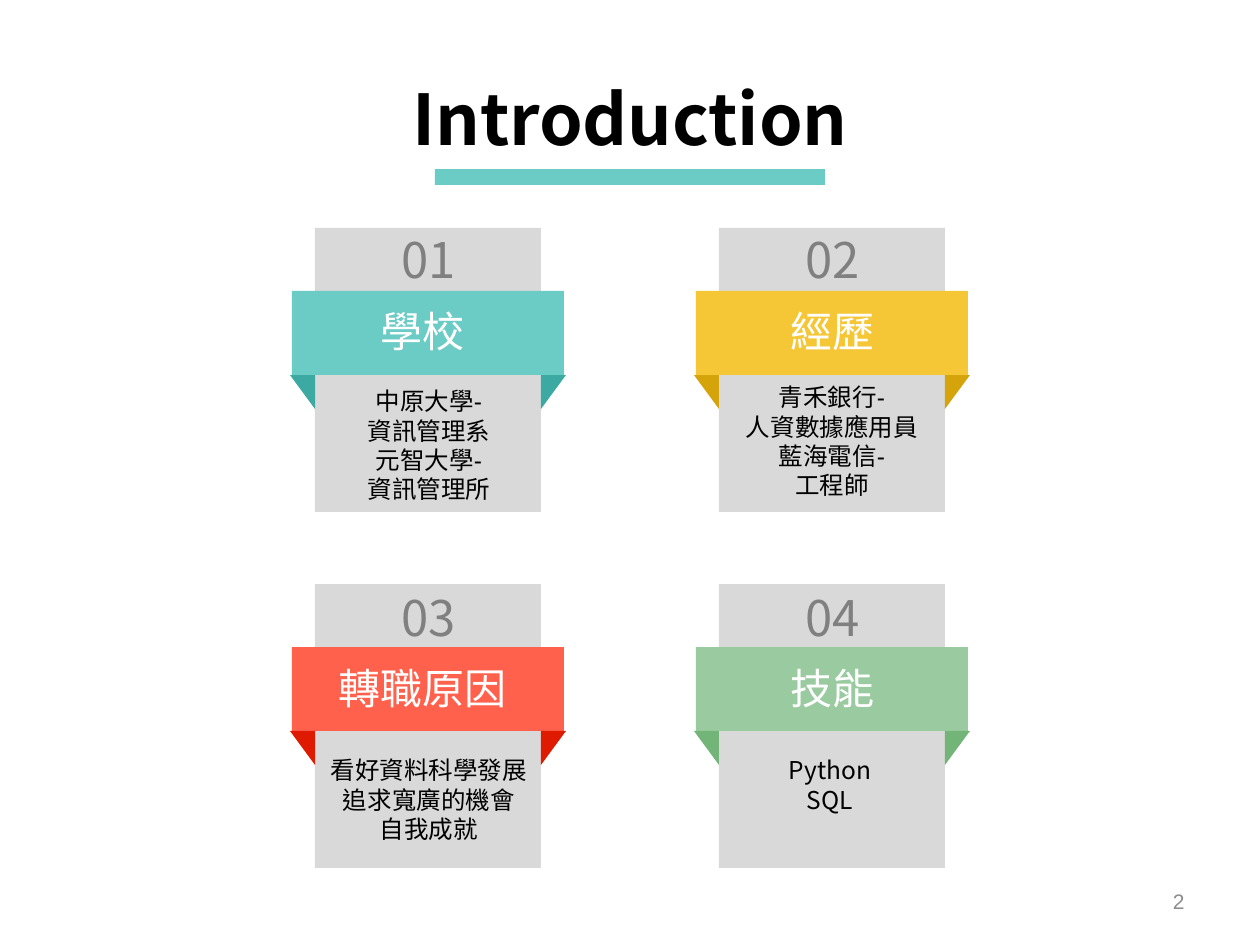
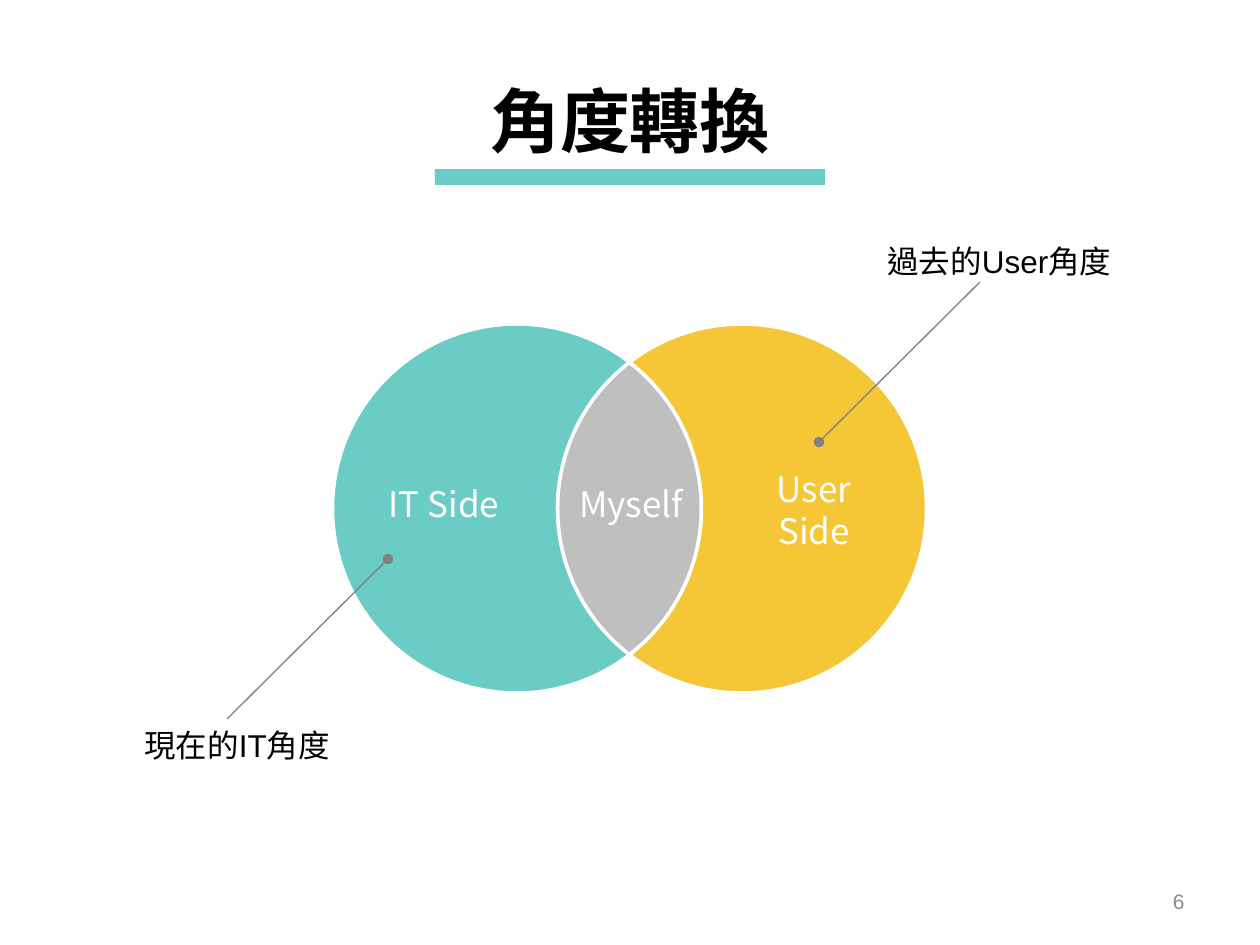
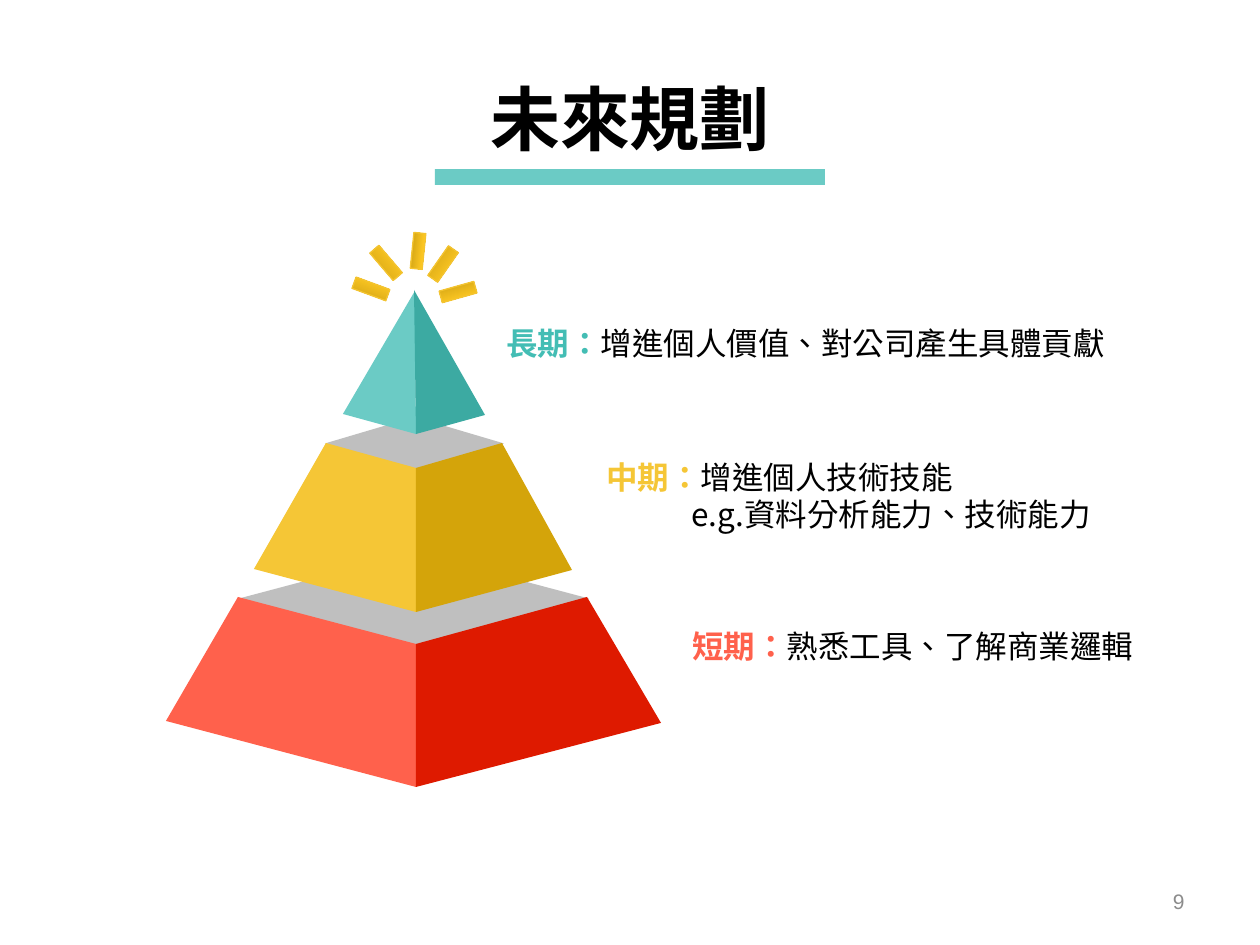
import math
from lxml import etree
from pptx import Presentation, util as u
from pptx.dml.color import RGBColor
from pptx.enum import lang, shapes, text
from pptx.oxml.ns import qn

SCALE = u.Inches(1) / 126
NOTO, ARIAL = "Noto Sans CJK SC", "Arial"
KIND = shapes.MSO_SHAPE
LEFT, CENTER, RIGHT = text.PP_ALIGN.LEFT, text.PP_ALIGN.CENTER, text.PP_ALIGN.RIGHT
TOP, MIDDLE = text.MSO_ANCHOR.TOP, text.MSO_ANCHOR.MIDDLE
C = {
    "black": "000000", "white": "FFFFFF", "card": "D9D9D9", "silver": "BFBFBF",
    "grey": "808080", "page": "8C8C8C", "teal": "6BCBC5", "teal_dark": "3CAAA2",
    "teal_text": "43BDB4", "yellow": "F5C636", "yellow_dark": "D4A40A",
    "red": "FF614C", "red_dark": "DE1A00", "green": "9ACA9F", "green_dark": "73B579",
    "ray_dark": "CC9F13", "ray_light": "FFC923", "ray_line": "F4C430",
}
RGB = {name: RGBColor.from_string(value) for name, value in C.items()}


def add_form(s, form, fill, box=None):
    if box:
        sp = s.shapes.add_shape(form, *[round(v * SCALE) for v in box])
    else:
        points = [(round(x * SCALE), round(y * SCALE)) for x, y in form]
        fb = s.shapes.build_freeform(*points[0], scale=1.0)
        fb.add_line_segments(points[1:], close=False)
        sp = fb.convert_to_shape()
        etree.SubElement(next(sp._element.iter(qn("a:path"))), qn("a:close"))
    sp.shadow.inherit = False
    sp.fill.solid()
    sp.fill.fore_color.rgb = RGB[fill]
    sp.line.fill.background()
    return sp


def add_label(s, box, lines, size, color="black", font=NOTO, bold=False, align=CENTER, anchor=MIDDLE):
    tf = s.shapes.add_textbox(*[round(v * SCALE) for v in box]).text_frame
    tf.word_wrap = True
    tf.vertical_anchor = anchor
    tf.text = "\n".join(lines)
    for p in tf.paragraphs:
        p.alignment = align
        p.font.size = u.Pt(size)
        p.font.bold = bold
        p.font.name = font
        p.font.color.rgb = RGB[color]
        p.font.language_id = lang.MSO_LANGUAGE_ID.TAIWAN if hasattr(lang.MSO_LANGUAGE_ID, "TAIWAN") else None
        ea = etree.SubElement(p._p.pPr.find(qn("a:defRPr")), qn("a:ea"))
        ea.set("typeface", NOTO)
        p._p.pPr.find(qn("a:defRPr")).set("lang", "zh-TW")
    return tf


prs = Presentation()
prs.slide_width, prs.slide_height = u.Inches(10), u.Inches(7.5)

slides = []
for title, font, y, number in (
    ("Introduction", NOTO, 69, "2"), ("角度轉換", ARIAL, 71, "6"), ("未來規劃", ARIAL, 69, "9"),
):
    s = prs.slides.add_slide(prs.slide_layouts[6])
    add_form(s, KIND.RECTANGLE, "teal", (435, 169, 390, 16))
    add_label(s, (271, y, 718, 97), [title], 40, font=font, bold=True)
    add_label(s, (903, 876, 294, 50), [number], 12, "page", ARIAL, align=RIGHT)
    slides.append(s)
intro, sides, plan = slides

cards = (
    ("teal", "學校", (316, 380), ARIAL, ("中原大學-", "資訊管理系", "元智大學-", "資訊管理所")),
    ("yellow", "經歷", (719, 376), ARIAL, ("青禾銀行-", "人資數據應用員", "藍海電信-", "工程師")),
    ("red", "轉職原因", (316, 749), ARIAL, ("看好資料科學發展", "追求寬廣的機會", "自我成就")),
    ("green", "技能", (717, 749), NOTO, ("Python", "SQL")),
)
for i, (color, heading, body_at, font, body) in enumerate(cards):
    row, col = divmod(i, 2)
    x, y = 315 + 404 * col, 228 + 356 * row
    add_form(intro, KIND.RECTANGLE, "card", (x, y, 226, 284))
    add_form(intro, KIND.RECTANGLE, color, (x - 23, y + 63, 272, 84))
    for fold_x in (x - 25, x + 226):
        sp = add_form(intro, KIND.RIGHT_TRIANGLE, color + "_dark", (fold_x, y + 147, 25, 34))
        sp.rotation = 180
        if fold_x > x:
            sp._element.spPr.find(qn("a:xfrm")).set("flipH", "1")
    add_label(intro, (x + 1, y + 1 + 2 * row, 226, 59), [f"{i + 1:02d}"], 28, "grey")
    add_label(intro, (304 + 410 * col, y + 73 + row, 238, 59), [heading], 24, "white", ARIAL)
    add_label(intro, (*body_at, 226, 131), body, 14, font=font, anchor=TOP)

left_x, right_x, top_y, diameter = 517, 742, 324, 369
radius = diameter / 2
meet = math.degrees(math.acos((right_x - left_x) / diameter))
left_inner, right_inner = (-meet, 0, meet), (180 - meet, 180, 180 + meet)
regions = (
    ("silver", (left_x, left_inner), (right_x, right_inner)),
    ("teal", (left_x, (meet, 90, 180, 270, 360 - meet)), (right_x, right_inner[::-1])),
    ("yellow", (right_x, (180 + meet, 270, 360, 450, 540 - meet)), (left_x, left_inner[::-1])),
)
for color, *arcs in regions:
    points = []
    for cx, stops in arcs:
        for start, end in zip(stops, stops[1:]):
            a, b = math.radians(start), math.radians(end)
            pull = 4 / 3 * math.tan((b - a) / 4)
            curve = (
                (math.cos(a), math.sin(a)),
                (math.cos(a) - pull * math.sin(a), math.sin(a) + pull * math.cos(a)),
                (math.cos(b) + pull * math.sin(b), math.sin(b) - pull * math.cos(b)),
                (math.cos(b), math.sin(b)),
            )
            for px, py in curve[1:] if points else curve:
                points.append((cx + radius * px, top_y + radius + radius * py))
    sp = add_form(sides, points, color)
    sp.line.color.rgb = RGB["white"]
    sp.line.width = u.Pt(2)
    segments = list(sp._element.iter(qn("a:lnTo")))
    for k in range(0, len(segments), 3):
        bezier = etree.Element(qn("a:cubicBezTo"))
        segments[k].addprevious(bezier)
        for segment in segments[k:k + 3]:
            bezier.append(segment[0])
            segment.getparent().remove(segment)

for box, words in (
    ((356, 476, 176, 55), "IT Side"),
    ((754, 461, 120, 97), "User Side"),
    ((558, 476, 146, 55), "Myself"),
):
    add_label(sides, box, [words], 20, "white", anchor=TOP)

for ends, box, words in (
    ((227, 719, 388, 559), (132, 720, 349, 50), "現在的IT角度"),
    ((980, 282, 819, 442), (875, 236, 349, 50), "過去的User角度"),
):
    line = sides.shapes.add_connector(shapes.MSO_CONNECTOR.STRAIGHT, *[round(v * SCALE) for v in ends])
    line.line.color.rgb = RGB["grey"]
    line.line.width = u.Pt(0.75)
    etree.SubElement(line.line._get_or_add_ln(), qn("a:tailEnd")).set("type", "oval")
    etree.SubElement(line._element.spPr, qn("a:effectLst"))
    add_label(sides, box, [words], 18, font=ARIAL, align=LEFT, anchor=TOP)

tiers = (
    ("red", (239, 552, 350, 93),
     ((238, 597), (416, 644), (416, 787), (166, 721)),
     ((587, 597), (661, 723), (416, 787), (416, 644))),
    ("yellow", (325, 417, 179, 53),
     ((326, 443), (416, 468), (416, 612), (254, 569)),
     ((502, 443), (572, 570), (416, 612), (416, 468))),
    ("teal", None,
     ((415, 291), (416, 434), (343, 414)),
     ((414, 290), (485, 415), (416, 434))),
)
for color, top, light_side, dark_side in tiers:
    if top:
        add_form(plan, KIND.DIAMOND, "silver", top)
    add_form(plan, light_side, color)
    add_form(plan, dark_side, color + "_dark")

for cx, cy, angle in ((371, 289, 20.2), (443, 264, 125), (386, 263, 49.5), (458, 292, 164.3), (418, 251, 95.9)):
    sp = add_form(plan, KIND.RECTANGLE, "ray_light", (cx - 18, cy - 6, 36, 12))
    sp.rotation = angle
    sp.fill.gradient()
    sp.fill.gradient_angle = 90
    dark, light = sp.fill.gradient_stops
    dark.color.rgb, dark.position = RGB["ray_dark"], 0
    light.color.rgb, light.position = RGB["ray_light"], 0.8
    sp.line.color.rgb = RGB["ray_line"]
    sp.line.width = u.Pt(0.75)

for box, color, term, goal, *more in (
    ((494, 318, 703, 50), "teal_text", "長期：", "增進個人價值、對公司產生具體貢獻"),
    ((594, 451, 562, 89), "yellow", "中期：", "增進個人技術技能", "e.g.資料分析能力、技術能力"),
    ((680, 621, 478, 50), "red", "短期：", "熟悉工具、了解商業邏輯"),
):
    tf = add_label(plan, box, [term, *more], 18, align=LEFT)
    p = tf.paragraphs[0]
    r = p.runs[0]
    r.font.bold = True
    r.font.color.rgb = RGB[color]
    p.add_run().text = goal
    for p in tf.paragraphs[1:]:
        p._p.pPr.set("marL", str(round(85 * SCALE)))

prs.save("out.pptx")
